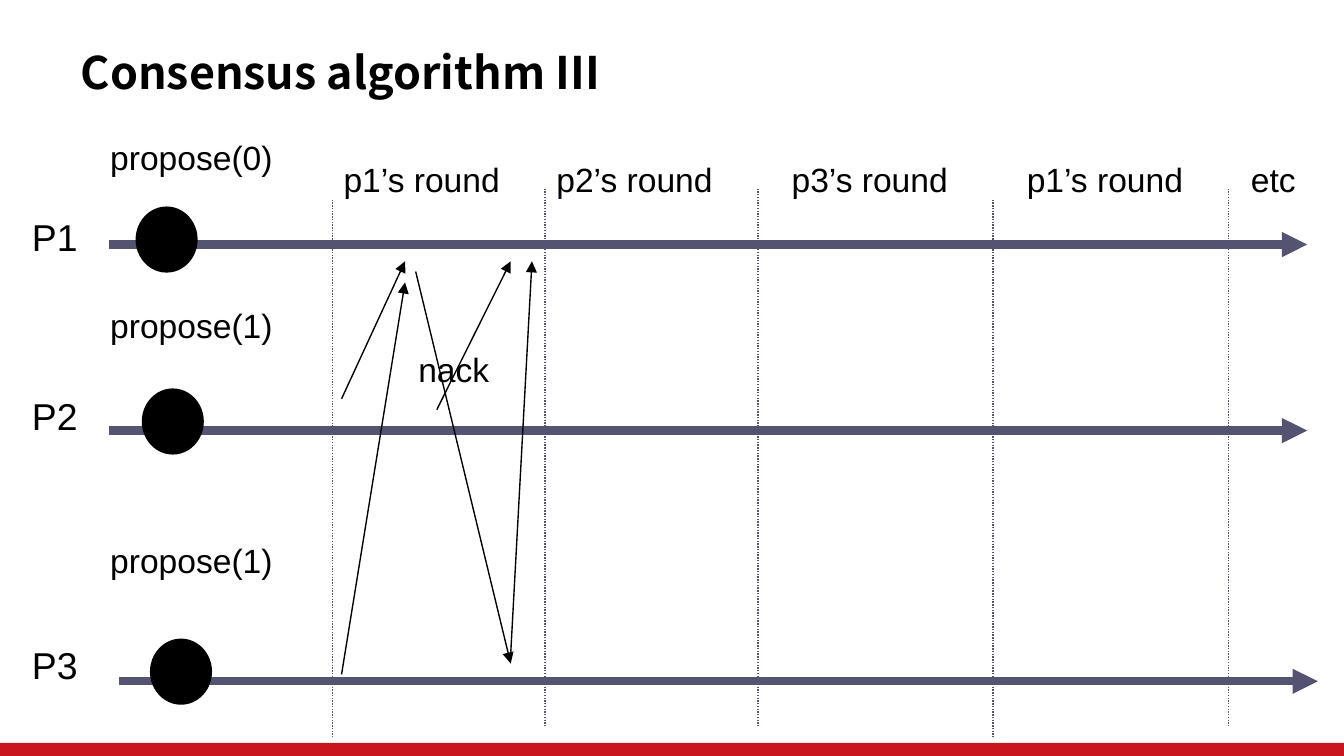
from lxml import etree
from pptx import Presentation
from pptx import util as u
from pptx.dml.color import RGBColor
from pptx.enum import dml, shapes, text
from pptx.oxml import ns

COLORS = {"ink": "000000", "timeline": "545472", "bar": "C9151E"}


class Diagram:
    body_font = "Arial"
    title_font = "Noto Sans CJK SC"

    def __init__(self, slide):
        self.slide = slide

    def color(self, name):
        return RGBColor.from_string(COLORS[name])

    def title(self, words, left, top, width, height):
        heading = self.slide.shapes.title
        heading.left, heading.top = u.Pt(left), u.Pt(top)
        heading.width, heading.height = u.Pt(width), u.Pt(height)
        frame = heading.text_frame
        frame.text = words
        frame.word_wrap = True
        frame.auto_size = text.MSO_AUTO_SIZE.NONE
        frame.vertical_anchor = text.MSO_ANCHOR.MIDDLE
        paragraph = frame.paragraphs[0]
        paragraph.alignment = text.PP_ALIGN.LEFT
        self.font(paragraph, self.title_font, 24, bold=True)

    def font(self, paragraph, name, size, bold=False):
        paragraph.font.name = name
        paragraph.font.size = u.Pt(size)
        paragraph.font.bold = bold
        paragraph.font.color.rgb = self.color("ink")

    def label(self, words, left, top, width, height=28, size=18, wrap=True):
        box = self.slide.shapes.add_textbox(u.Pt(left), u.Pt(top), u.Pt(width), u.Pt(height))
        frame = box.text_frame
        frame.text = words
        frame.word_wrap = wrap
        frame.auto_size = text.MSO_AUTO_SIZE.SHAPE_TO_FIT_TEXT
        paragraph = frame.paragraphs[0]
        paragraph.line_spacing = 0.95
        self.font(paragraph, self.body_font, size)

    def solid(self, kind, left, top, width, height, color, outlined=False):
        shape = self.slide.shapes.add_shape(kind, u.Pt(left), u.Pt(top), u.Pt(width), u.Pt(height))
        shape.shadow.inherit = False
        shape.fill.solid()
        shape.fill.fore_color.rgb = self.color(color)
        if outlined:
            shape.line.color.rgb = self.color(color)
            shape.line.width = u.Pt(0.75)
        else:
            shape.line.fill.background()

    def line(self, start, end, color, width=0.75, dotted=False, arrow=False):
        connector = self.slide.shapes.add_connector(
            shapes.MSO_CONNECTOR.STRAIGHT, *(u.Pt(value) for value in (*start, *end)))
        connector.line.color.rgb = self.color(color)
        connector.line.width = u.Pt(width)
        if dotted:
            connector.line.dash_style = dml.MSO_LINE.ROUND_DOT
        if arrow:
            outline = connector.line._get_or_add_ln()
            etree.SubElement(outline, ns.qn("a:tailEnd"), type="triangle")
        etree.SubElement(connector._element.spPr, ns.qn("a:effectLst"))


def main():
    deck = Presentation()
    deck.slide_width, deck.slide_height = u.Pt(720), u.Pt(405)
    diagram = Diagram(deck.slides.add_slide(deck.slide_layouts[5]))
    diagram.solid(shapes.MSO_SHAPE.RECTANGLE, 0, 398, 720, 7, "bar")
    diagram.title("Consensus algorithm III", 36, 21, 501, 35)

    processes = [
        ("P1", 113, "propose(0)", 71.3, (58.3, 131), (73, 111)),
        ("P2", 209, "propose(1)", 161.3, (58.3, 230.7), (76.3, 208.5)),
        ("P3", 342, "propose(1)", 287.3, (64, 365), (80.7, 342.5)),
    ]
    for name, name_top, proposal, proposal_top, (start, level), event in processes:
        diagram.label(name, 10, name_top, 39, 30, size=20, wrap=False)
        diagram.label(proposal, 52, proposal_top, 150)
        diagram.line((start, level), (start + 642, level), "timeline", 4.5, arrow=True)
        diagram.solid(shapes.MSO_SHAPE.OVAL, *event, 32.5, 34.7, "ink", outlined=True)

    rounds = [
        ("p1’s round", 178, 107, 177),
        ("p2’s round", 292, 101, 291),
        ("p3’s round", 406, 101, 417),
        ("p1’s round", 532, 107, 543),
        ("etc", 658, 101, 663),
    ]
    for name, boundary, top, name_left in rounds:
        diagram.line((boundary, top), (boundary, top + 288), "timeline", dotted=True)
        diagram.label(name, name_left, 83, 49 if name == "etc" else 127)

    messages = [
        ((222.7, 145.5), (273.6, 355.5)),
        ((273.6, 350), (285, 140)),
        ((183, 213.7), (217, 140)),
        ((183, 361.3), (217, 151.3)),
        ((234, 219.5), (273.6, 140)),
    ]
    for sent, received in messages:
        diagram.line(sent, received, "ink", arrow=True)
    diagram.label("nack", 217, 185, 85)

    deck.save("out.pptx")


if __name__ == "__main__":
    main()
